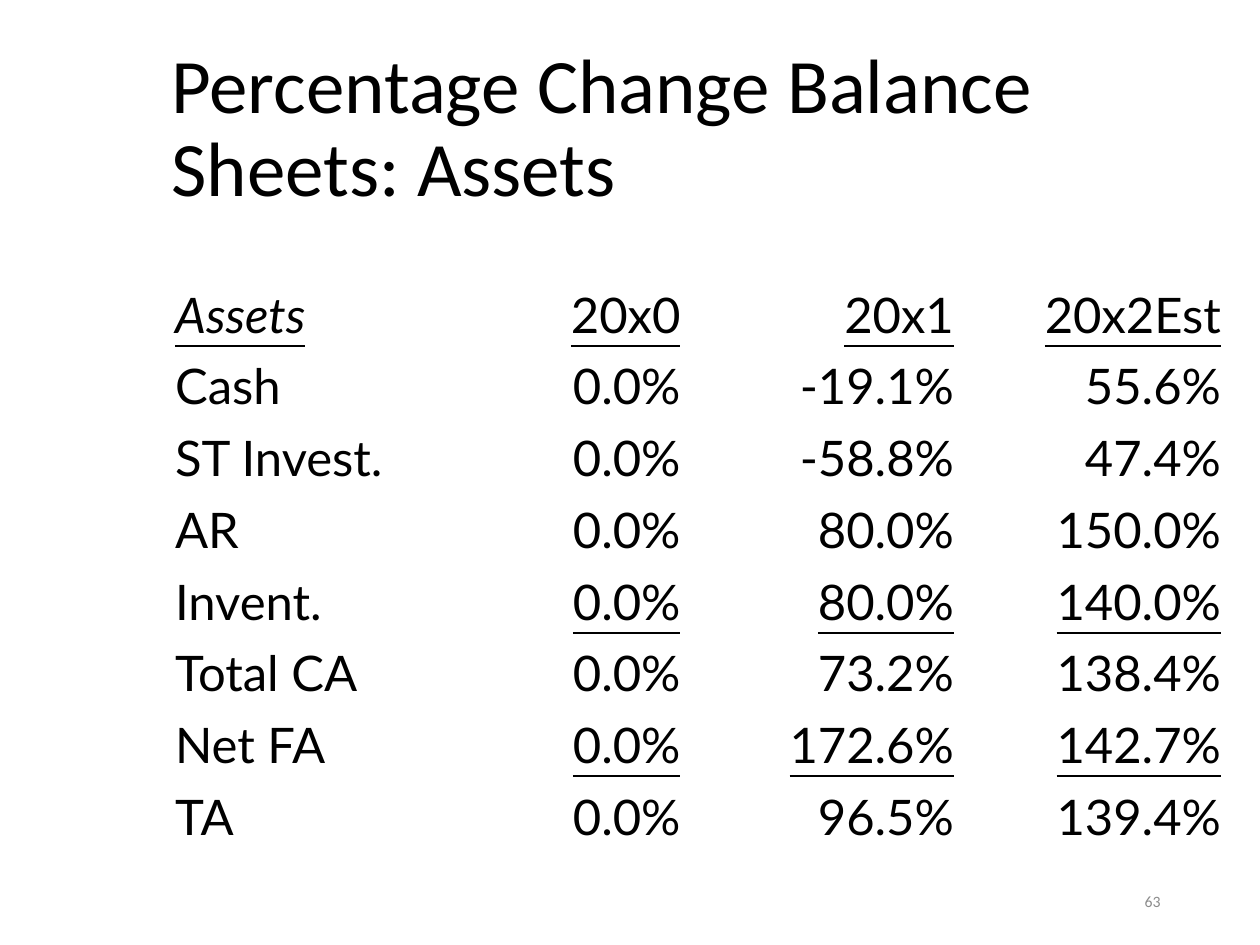
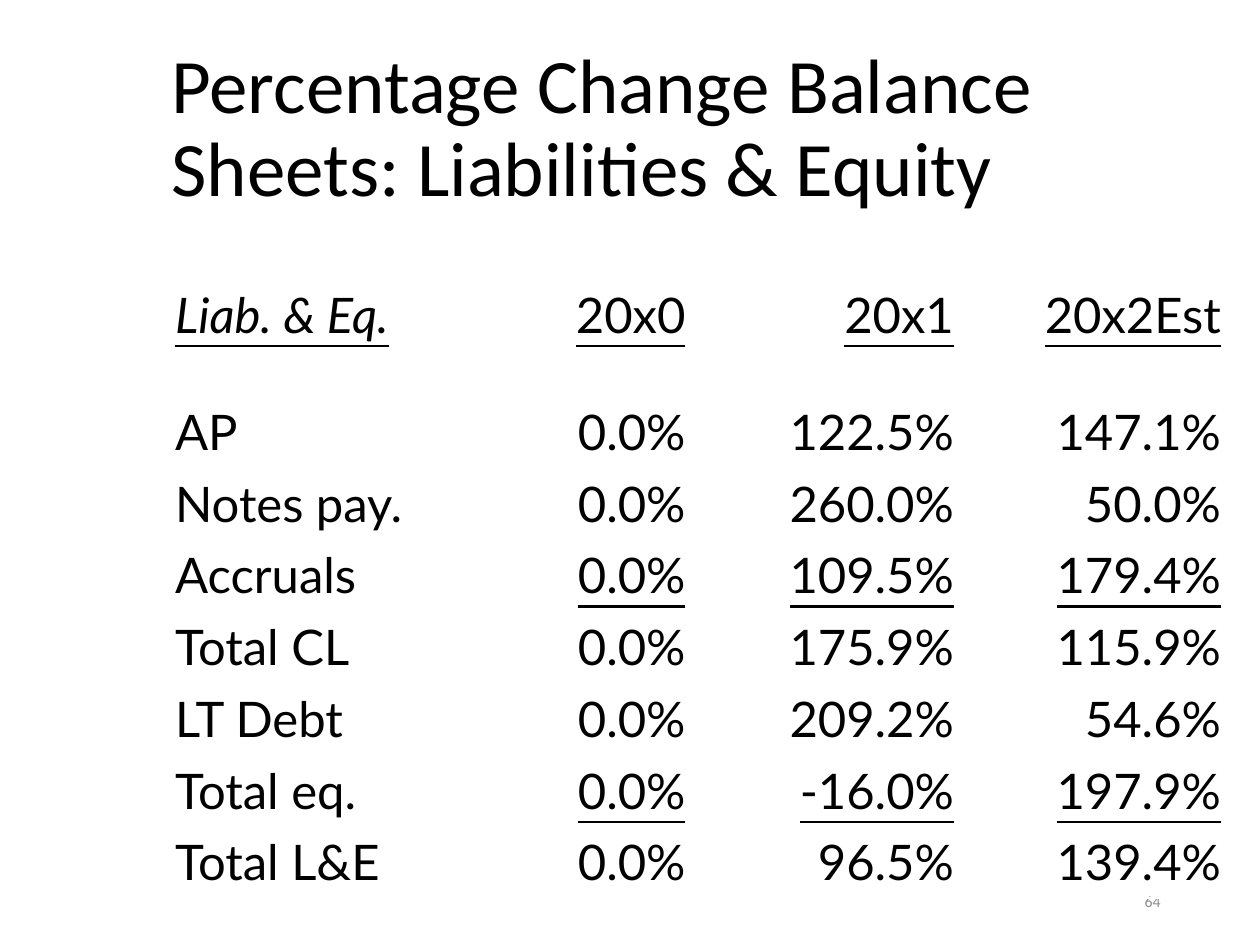
"""Build two slides of percentage change balance sheets."""
from dataclasses import dataclass

from pptx import Presentation
from pptx.dml.color import RGBColor
from pptx.enum.text import MSO_ANCHOR, PP_ALIGN
from pptx.util import Inches, Pt

LEFT, RIGHT = PP_ALIGN.LEFT, PP_ALIGN.RIGHT
MIDDLE = MSO_ANCHOR.MIDDLE
TITLE_ONLY = 5


@dataclass(frozen=True)
class Theme:
    text: RGBColor = RGBColor(0x00, 0x00, 0x00)
    muted: RGBColor = RGBColor(0x8C, 0x8C, 0x8C)
    heading_font: str = "Calibri"
    table_font: str = "Lato"
    title_size: int = 44
    table_size: int = 28
    number_size: int = 9


THEME = Theme()
TITLE_BOX = (1.26, 0.23, 8.52, 1.6)
NUMBER_BOX = (7.06, 6.95, 2.25, 0.4)
TABLE_LEFT, TABLE_TOP = 1.29, 2.21
ROW_HEIGHT = 0.57
YEARS = ("20x0", "20x1", "20x2Est")

SHEETS = [
    {
        "number": "63",
        "title": "Percentage Change Balance Sheets: Assets",
        "column_widths": (2.13, 2.08, 2.17, 2.12),
        "header_height": ROW_HEIGHT,
        "rows": [
            ("Assets", *YEARS),
            ("Cash", "0.0%", "-19.1%", "55.6%"),
            ("ST Invest.", "0.0%", "-58.8%", "47.4%"),
            ("AR", "0.0%", "80.0%", "150.0%"),
            ("Invent.", "0.0%", "80.0%", "140.0%"),
            ("Total CA", "0.0%", "73.2%", "138.4%"),
            ("Net FA", "0.0%", "172.6%", "142.7%"),
            ("TA", "0.0%", "96.5%", "139.4%"),
        ],
        "rows_above_totals": ("Invent.", "Net FA"),
    },
    {
        "number": "64",
        "title": "Percentage Change Balance Sheets: Liabilities & Equity",
        "column_widths": (2.13, 2.12, 2.13, 2.12),
        "header_height": 0.93,
        "rows": [
            ("Liab. & Eq.", *YEARS),
            ("AP", "0.0%", "122.5%", "147.1%"),
            ("Notes pay.", "0.0%", "260.0%", "50.0%"),
            ("Accruals", "0.0%", "109.5%", "179.4%"),
            ("Total CL", "0.0%", "175.9%", "115.9%"),
            ("LT Debt", "0.0%", "209.2%", "54.6%"),
            ("Total eq.", "0.0%", "-16.0%", "197.9%"),
            ("Total L&E", "0.0%", "96.5%", "139.4%"),
        ],
        "rows_above_totals": ("Accruals", "Total eq."),
    },
]


def inches(box):
    return [Inches(length) for length in box]


def format_paragraph(paragraph, font_name, size, color, alignment):
    paragraph.alignment = alignment
    paragraph.font.name = font_name
    paragraph.font.size = Pt(size)
    paragraph.font.color.rgb = color


def add_title(slide, text):
    title = slide.shapes.title
    title.left, title.top, title.width, title.height = inches(TITLE_BOX)
    title.text_frame.text = text
    title.text_frame.vertical_anchor = MIDDLE
    paragraph = title.text_frame.paragraphs[0]
    paragraph.line_spacing = 0.9
    format_paragraph(paragraph, THEME.heading_font, THEME.title_size, THEME.text, LEFT)


def add_slide_number(slide, number):
    frame = slide.shapes.add_textbox(*inches(NUMBER_BOX)).text_frame
    frame.word_wrap = True
    frame.vertical_anchor = MIDDLE
    frame.text = number
    format_paragraph(frame.paragraphs[0], THEME.heading_font, THEME.number_size, THEME.muted, RIGHT)


def add_balance_table(slide, sheet):
    rows, widths = sheet["rows"], sheet["column_widths"]
    heights = [sheet["header_height"]] + [ROW_HEIGHT] * (len(rows) - 1)
    box = (TABLE_LEFT, TABLE_TOP, sum(widths), sum(heights))
    table = slide.shapes.add_table(len(rows), len(widths), *inches(box)).table
    table.first_row = table.horz_banding = False
    for column, width in zip(table.columns, widths):
        column.width = Inches(width)
    for row, height in zip(table.rows, heights):
        row.height = Inches(height)

    for row_index, values in enumerate(rows):
        is_header = row_index == 0
        above_total = values[0] in sheet["rows_above_totals"]
        for column_index, value in enumerate(values):
            is_label = column_index == 0
            cell = table.cell(row_index, column_index)
            cell.fill.background()
            cell.text = value
            paragraph = cell.text_frame.paragraphs[0]
            format_paragraph(paragraph, THEME.table_font, THEME.table_size, THEME.text,
                             LEFT if is_label else RIGHT)
            paragraph.font.italic = is_header and is_label
            paragraph.font.underline = is_header or (above_total and not is_label)


def main():
    presentation = Presentation()
    presentation.slide_width, presentation.slide_height = Inches(10), Inches(7.5)
    for sheet in SHEETS:
        slide = presentation.slides.add_slide(presentation.slide_layouts[TITLE_ONLY])
        add_slide_number(slide, sheet["number"])
        add_title(slide, sheet["title"])
        add_balance_table(slide, sheet)
    presentation.save("out.pptx")


if __name__ == "__main__":
    main()
